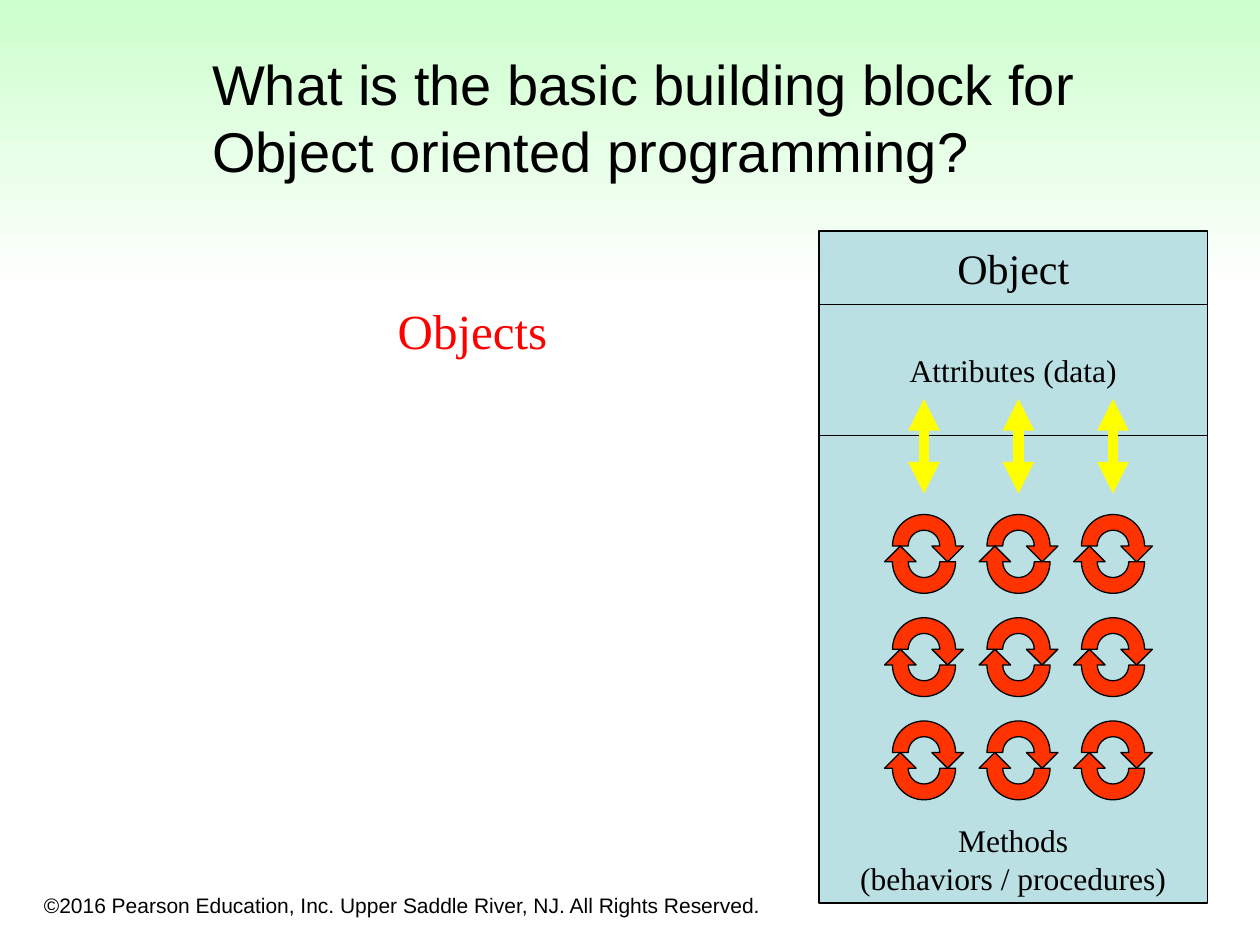
"""Build the slide that names the object as the building block of object-oriented programming."""
from lxml import etree
from pptx import Presentation, util as u
from pptx.dml.color import RGBColor
from pptx.enum import shapes, text
from pptx.oxml import ns

COLORS = {"black": "000000", "red": "FF0000", "mint": "CCFFCC", "white": "FFFFFF",
          "panel": "BBE0E3", "cycle": "FF3300", "arrow": "FFFF00"}
COLORS = {name: RGBColor.from_string(value) for name, value in COLORS.items()}


def write(shape, words, size, font, color="black", align="LEFT", anchor="TOP", wrap=True):
    frame = shape.text_frame
    frame.text = words
    frame.word_wrap = wrap
    frame.auto_size = text.MSO_AUTO_SIZE.NONE
    frame.vertical_anchor = text.MSO_ANCHOR[anchor]
    for paragraph in frame.paragraphs:
        paragraph.alignment = text.PP_ALIGN[align]
        paragraph.font.size = u.Pt(size)
        paragraph.font.name = font
        paragraph.font.color.rgb = COLORS[color]


def paint(shape, fill):
    shape.shadow.inherit = False
    shape.fill.solid()
    shape.fill.fore_color.rgb = COLORS[fill]
    shape.line.color.rgb = COLORS["black"]
    shape.line.width = u.Pt(0.75)


presentation = Presentation()
presentation.slide_width, presentation.slide_height = u.Pt(720), u.Pt(540)
slide = presentation.slides.add_slide(presentation.slide_layouts[5])

banner = slide.shapes.add_shape(shapes.MSO_SHAPE.PENTAGON, u.Pt(0), u.Pt(-0.75), u.Pt(720), u.Pt(168))
banner.adjustments[0] = 0
banner.shadow.inherit = False
banner.line.fill.background()
banner.fill.gradient()
banner.fill.gradient_angle = 270
for stop, position, name in zip(banner.fill.gradient_stops, (0, 1), ("mint", "white")):
    stop.position = position
    stop.color.rgb = COLORS[name]

title = slide.shapes.title
title.left, title.top, title.width, title.height = u.Pt(114), u.Pt(30), u.Pt(564), u.Pt(78.5)
write(title, "What is the basic building block for\nObject oriented programming?", 32, "Arial", anchor="BOTTOM")
banner._element.addnext(title._element)

copyright_box = slide.shapes.add_textbox(u.Pt(18), u.Pt(498), u.Pt(438), u.Pt(30))
write(copyright_box, "©2016 Pearson Education, Inc. Upper Saddle River, NJ. All Rights Reserved.",
      12, "Arial", anchor="BOTTOM")

answer = slide.shapes.add_textbox(u.Pt(219.5), u.Pt(168), u.Pt(101), u.Pt(41))
write(answer, "Objects", 28, "Times New Roman", "red", "CENTER", wrap=False)

top = 132
for words, height, size, anchor in (("Object", 42, 24, "MIDDLE"),
                                    ("Attributes (data)", 75, 18, "MIDDLE"),
                                    ("Methods\v(behaviors / procedures)", 267, 18, "BOTTOM")):
    panel = slide.shapes.add_shape(shapes.MSO_SHAPE.RECTANGLE, u.Pt(468), u.Pt(top), u.Pt(222), u.Pt(height))
    paint(panel, "panel")
    write(panel, words, size, "Times New Roman", "black", "CENTER", anchor, wrap=False)
    top += height

inner_arc = [(9, -5), (5, -9), (0, -9), (-5, -9), (-9, -5), (-9, 0)]
outer_arc = [(-18, -10), (-10, -18), (0, -18), (10, -18), (18, -10), (18, 0)]
half_cycle = [(9, 0), *inner_arc, (-18, 0), *outer_arc, (22.5, 0), (13.5, 9), (4.5, 0)]
curve_starts = (0, 3, 7, 10)

columns = [528 + 54 * column for column in range(3)]
for center_y in (312, 371, 430):
    for center_x in columns:
        for sign, origin_y in ((1, center_y), (-1, center_y + 9)):
            points = [(u.Pt(center_x + sign * x), u.Pt(origin_y + sign * y)) for x, y in half_cycle]
            builder = slide.shapes.build_freeform(*points[0])
            builder.add_line_segments(points[1:], close=True)
            half = builder.convert_to_shape()
            paint(half, "cycle")
            segments = list(half._element.iter(ns.qn("a:lnTo")))
            for start in curve_starts:
                curve = segments[start]
                curve.tag = ns.qn("a:cubicBezTo")
                for segment in segments[start + 1:start + 3]:
                    curve.append(segment[0])
                    segment.getparent().remove(segment)

for x in columns:
    arrow = slide.shapes.add_connector(shapes.MSO_CONNECTOR.STRAIGHT, u.Pt(x), u.Pt(282), u.Pt(x), u.Pt(228))
    arrow.line.color.rgb = COLORS["arrow"]
    arrow.line.width = u.Pt(6)
    for end in ("a:headEnd", "a:tailEnd"):
        etree.SubElement(arrow.line._get_or_add_ln(), ns.qn(end), type="triangle", w="med", len="med")
    etree.SubElement(arrow._element.spPr, ns.qn("a:effectLst"))

presentation.save("out.pptx")
